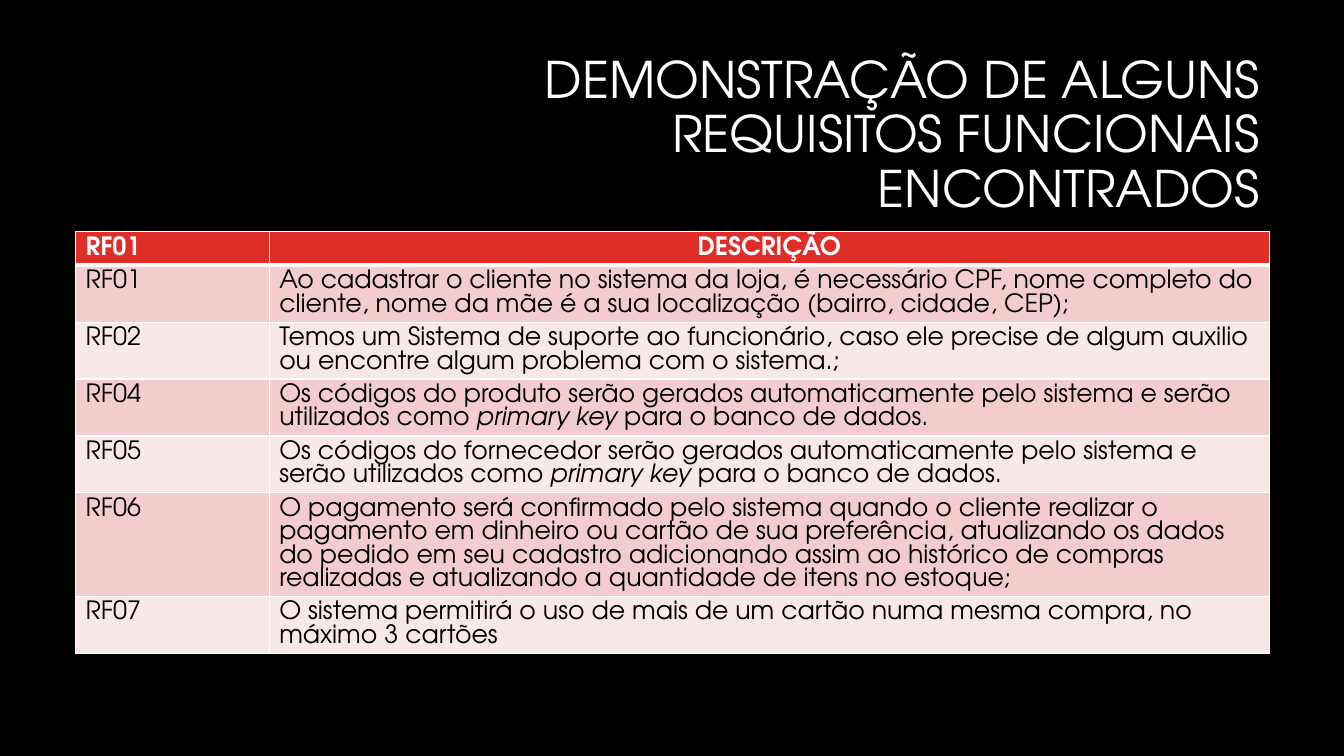
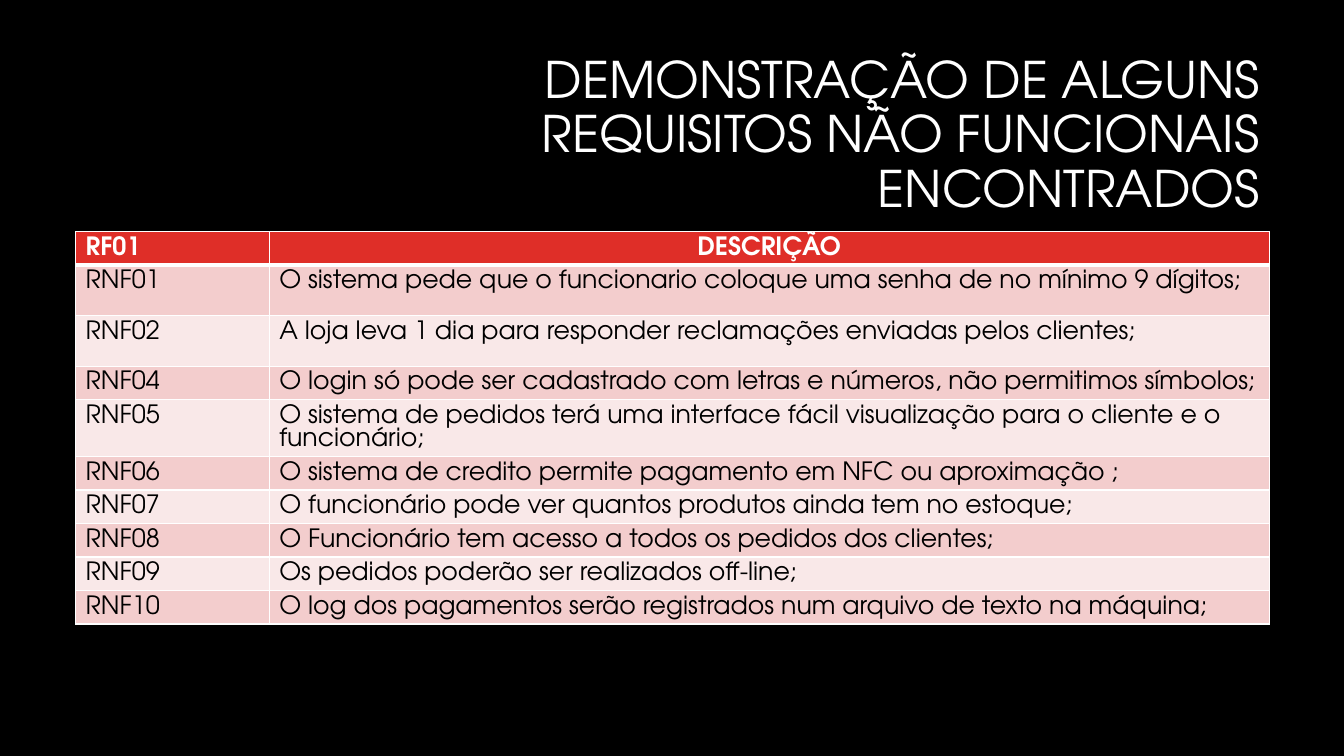
from lxml import etree
from pptx import Presentation
from pptx.dml.color import RGBColor
from pptx.enum.text import MSO_ANCHOR, PP_ALIGN
from pptx.oxml.ns import qn
from pptx.util import Inches, Pt

LEFT, CENTER, RIGHT = PP_ALIGN.LEFT, PP_ALIGN.CENTER, PP_ALIGN.RIGHT
MIDDLE = MSO_ANCHOR.MIDDLE

# Shared style
FONT = "TeX Gyre Adventor"
BLACK, WHITE, RED = "000000", "FFFFFF", "DF2E28"
BANDS = ("F3CDCD", "F9E8E8")
COLUMNS = (1.92, 9.92)
HEADER = ("RF01", "DESCRIÇÃO")
ROW, TALL_ROW = 0.29, 0.5
TALL_ROWS = (1, 2)

# Content: underscores enclose italic words
FUNCTIONAL = [
    ("RF01", "Ao cadastrar o cliente no sistema da loja, é necessário CPF, nome completo do "
             "cliente, nome da mãe é a sua localização (bairro, cidade, CEP);"),
    ("RF02", "Temos um Sistema de suporte ao funcionário, caso ele precise de algum auxilio "
             "ou encontre algum problema com o sistema.;"),
    ("RF04", "Os códigos do produto serão gerados automaticamente pelo sistema e serão "
             "utilizados como _primary key_ para o banco de dados."),
    ("RF05", "Os códigos do fornecedor serão gerados automaticamente pelo sistema e serão "
             "utilizados como _primary key_ para o banco de dados."),
    ("RF06", "O pagamento será confirmado pelo sistema quando o cliente realizar o pagamento "
             "em dinheiro ou cartão de sua preferência, atualizando os dados do pedido em seu "
             "cadastro adicionando assim ao histórico de compras realizadas e atualizando a "
             "quantidade de itens no estoque;"),
    ("RF07", "O sistema permitirá o uso de mais de um cartão numa mesma compra, no máximo "
             "3 cartões"),
]
NON_FUNCTIONAL = [
    ("RNF01", "O sistema pede que o funcionario coloque uma senha de no mínimo 9 dígitos;"),
    ("RNF02", "A loja leva 1 dia para responder reclamações enviadas pelos clientes;"),
    ("RNF04", "O login só pode ser cadastrado com letras e números, não permitimos símbolos;"),
    ("RNF05", "O sistema de pedidos terá uma interface fácil visualização para o cliente e o "
              "funcionário;"),
    ("RNF06", "O sistema de credito permite pagamento em NFC ou aproximação ;"),
    ("RNF07", "O funcionário pode ver quantos produtos ainda tem no estoque;"),
    ("RNF08", "O Funcionário tem acesso a todos os pedidos dos clientes;"),
    ("RNF09", "Os pedidos poderão ser realizados off-line;"),
    ("RNF10", "O log dos pagamentos serão registrados num arquivo de texto na máquina;"),
]


def rgb(value):
    return RGBColor.from_string(value)


def write(tf, text, size=18, color=BLACK, bold=False, align=LEFT, spacing=16.7):
    p = tf.paragraphs[0]
    p.alignment = align
    p.line_spacing = Pt(spacing)
    for i, part in enumerate(text.split("_")):
        r = p.add_run()
        r.text = part
        r.font.name = FONT
        r.font.size = Pt(size)
        r.font.bold = bold
        r.font.italic = i % 2 == 1
        r.font.color.rgb = rgb(color)


def add_title(s, text):
    tf = s.shapes.add_textbox(Inches(3.17), Inches(0.64), Inches(9.42), Inches(1.41)).text_frame
    tf.word_wrap = True
    tf.vertical_anchor = MIDDLE
    write(tf, text, size=36, color=WHITE, align=RIGHT, spacing=38.9)


def set_borders(cell, top=1, bottom=1):
    tc_pr = cell._tc.get_or_add_tcPr()
    for side, width in (("L", 1), ("R", 1), ("T", top), ("B", bottom)):
        ln = etree.SubElement(tc_pr, qn(f"a:ln{side}"), w=str(Pt(width)))
        fill = etree.SubElement(ln, qn("a:solidFill"))
        etree.SubElement(fill, qn("a:srgbClr"), val=WHITE)


def format_cell(cell, text, fill, top=1, bottom=1, **text_format):
    set_borders(cell, top, bottom)
    cell.fill.solid()
    cell.fill.fore_color.rgb = rgb(fill)
    write(cell.text_frame, text, **text_format)


def add_requirements(s, requirements):
    heights = [TALL_ROW if i in TALL_ROWS else ROW for i in range(len(requirements) + 1)]
    table = s.shapes.add_table(len(heights), len(COLUMNS), Inches(0.75), Inches(2.3),
                               Inches(sum(COLUMNS)), Inches(sum(heights))).table
    for column, width in zip(table.columns, COLUMNS):
        column.width = Inches(width)
    for row, height in zip(table.rows, heights):
        row.height = Inches(height)
    # Header row
    for c, (text, align) in enumerate(zip(HEADER, (LEFT, CENTER))):
        format_cell(table.cell(0, c), text, RED, bottom=3, color=WHITE, bold=True, align=align)
    # Banded rows
    for i, requirement in enumerate(requirements):
        for c, text in enumerate(requirement):
            format_cell(table.cell(i + 1, c), text, BANDS[i % 2], top=1 if i else 3)


def add_requirements_slide(prs, title, requirements):
    s = prs.slides.add_slide(prs.slide_layouts[6])
    s.background.fill.solid()
    s.background.fill.fore_color.rgb = rgb(BLACK)
    add_title(s, title)
    add_requirements(s, requirements)


def main():
    prs = Presentation()
    prs.slide_width, prs.slide_height = Inches(13.33), Inches(7.5)
    for kind, requirements in (("FUNCIONAIS", FUNCTIONAL), ("NÃO FUNCIONAIS", NON_FUNCTIONAL)):
        add_requirements_slide(prs, f"DEMONSTRAÇÃO DE ALGUNS REQUISITOS {kind} ENCONTRADOS",
                               requirements)
    prs.save("out.pptx")


if __name__ == "__main__":
    main()
